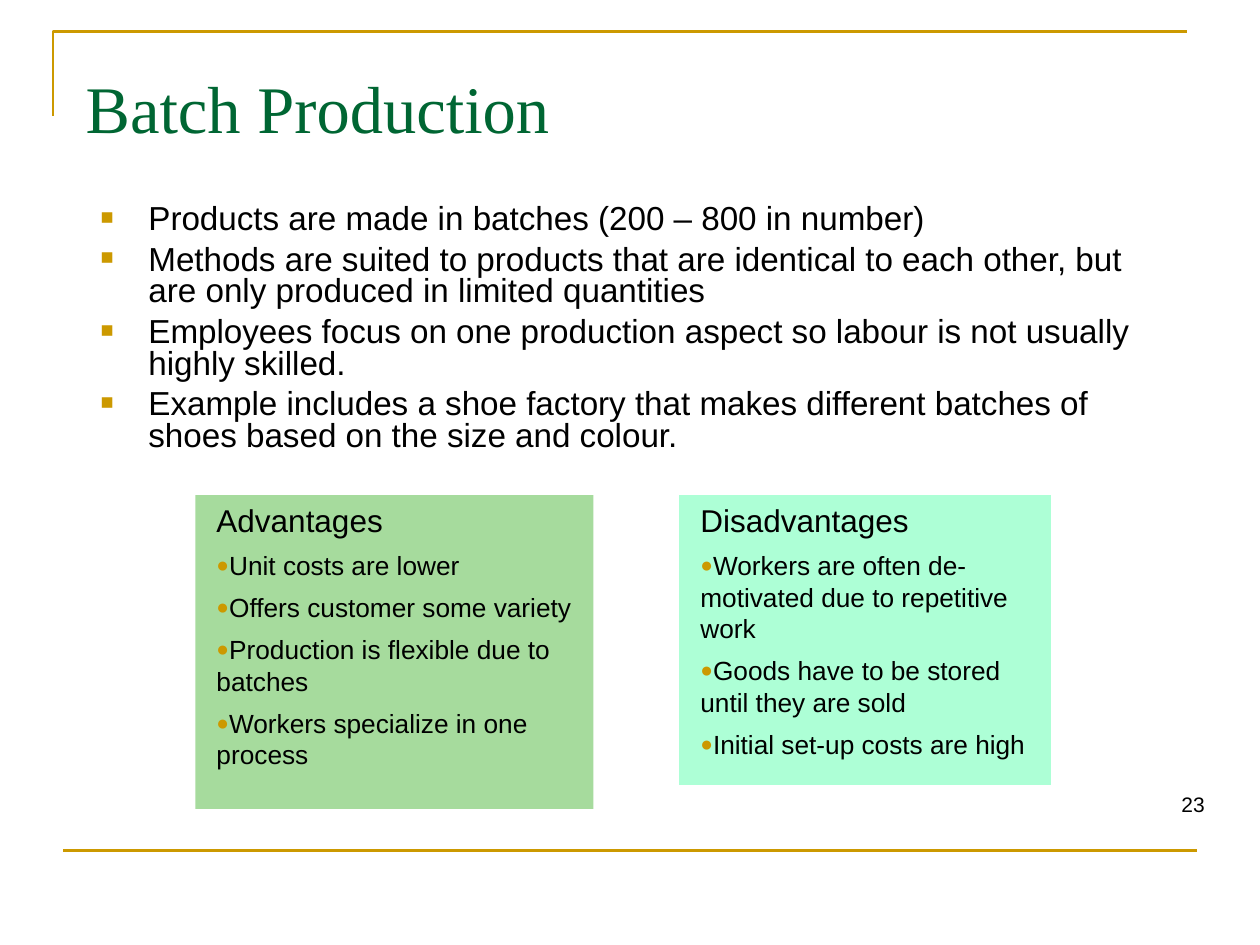
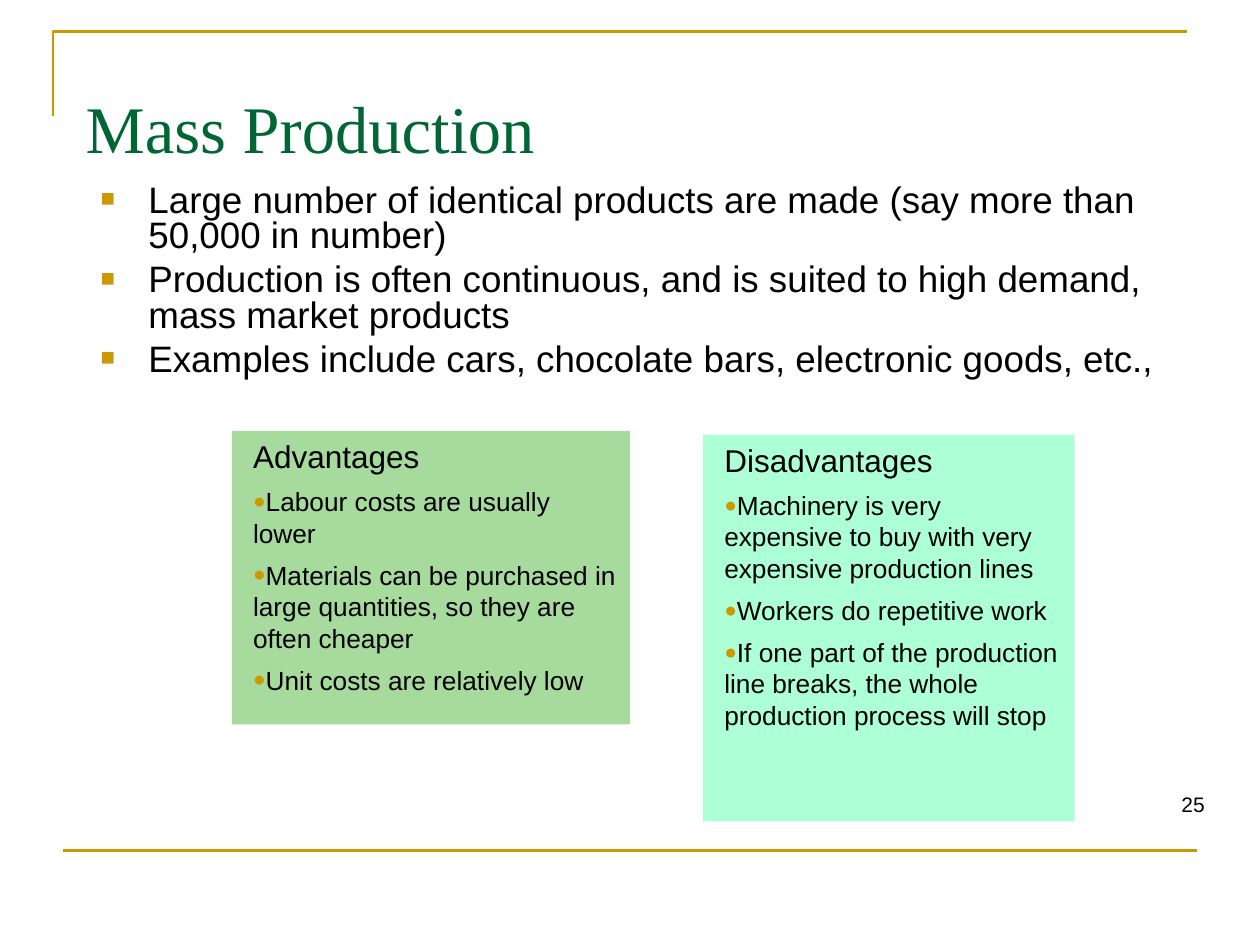
from pptx import Presentation
from pptx.dml.color import RGBColor as RGB
from pptx.enum.shapes import MSO_CONNECTOR as LINE, MSO_SHAPE as SHAPE
from pptx.enum.text import MSO_ANCHOR as ANCHOR, PP_ALIGN as ALIGN
from pptx.oxml.ns import qn
from pptx.util import Inches, Pt
from lxml.etree import SubElement

GOLD = RGB(0xCC, 0x99, 0x00)
GREEN = RGB(0x00, 0x66, 0x33)
BLACK = RGB(0, 0, 0)
LEAF = RGB(0xA6, 0xDB, 0x9D)
MINT = RGB(0xAD, 0xFF, 0xD6)
SANS, SERIF = "Arial", "Times New Roman"

# Boxes are (left, top, width, height) in inches.
SLIDES = [
    {
        "title": "Batch Production", "title_top": 0.42, "number": "23",
        "body": (0.7, 1.58, 8.63, 2.11), "size": 19, "before": 4.8,
        "points": [
            "Products are made in batches (200 – 800 in number)",
            "Methods are suited to products that are identical to each other, "
            "but are only produced in limited quantities",
            "Employees focus on one production aspect so labour is not "
            "usually highly skilled.",
            "Example includes a shoe factory that makes different batches of "
            "shoes based on the size and colour.",
        ],
        "cards": [
            ("Advantages", LEAF, (1.55, 3.93, 3.16, 2.49), [
                "Unit costs are lower",
                "Offers customer some variety",
                "Production is flexible due to batches",
                "Workers specialize in one process",
            ]),
            ("Disadvantages", MINT, (5.39, 3.93, 2.95, 2.3), [
                "Workers are often de-motivated due to repetitive work",
                "Goods have to be stored until they are sold",
                "Initial set-up costs are high",
            ]),
        ],
    },
    {
        "title": "Mass Production", "title_top": 0.58, "number": "25",
        "body": (0.7, 1.42, 8.63, 1.82), "size": 21, "before": 5.2,
        "points": [
            "Large number of identical products are made (say more than "
            "50,000 in number)",
            "Production is often continuous, and is suited to high demand, "
            "mass market products",
            "Examples include cars, chocolate bars, electronic goods, etc.,",
        ],
        "cards": [
            ("Advantages", LEAF, (1.84, 3.42, 3.16, 2.33), [
                "Labour costs are usually lower",
                "Materials can be purchased in large quantities, so they are "
                "often cheaper",
                "Unit costs are relatively low",
            ]),
            ("Disadvantages", MINT, (5.58, 3.45, 2.95, 3.07), [
                "Machinery is very expensive to buy with very expensive "
                "production lines",
                "Workers do repetitive work",
                "If one part of the production line breaks, the whole "
                "production process will stop",
            ]),
        ],
    },
]


def inch(box):
    return [Inches(n) for n in box]


def mark(para, char, scale):
    """Give a paragraph a gold bullet, scaled in percent of the text."""
    props = para._p.get_or_add_pPr()
    SubElement(SubElement(props, qn("a:buClr")), qn("a:srgbClr"), val=str(GOLD))
    SubElement(props, qn("a:buSzPct"), val=str(scale * 1000))
    SubElement(props, qn("a:buFont"), typeface=SANS)
    SubElement(props, qn("a:buChar"), char=char)


def write(frame, text, size, font=SANS, color=BLACK, align=ALIGN.LEFT,
          before=0, line=None, left=0, hang=0, bullet=None):
    """Add one paragraph; bullet is a (character, percent) pair."""
    first = not frame.text
    para = frame.paragraphs[0] if first else frame.add_paragraph()
    para.alignment = align
    para.space_before = Pt(0 if first else before)
    if line:
        para.line_spacing = line
    props = para._p.get_or_add_pPr()
    props.set("marL", str(Inches(left)))
    props.set("indent", str(Inches(hang)))
    if bullet:
        mark(para, *bullet)
    run = para.add_run()
    run.text = text
    run.font.size, run.font.name = Pt(size), font
    run.font.color.rgb = color


def set_up(frame, anchor=ANCHOR.TOP, top=0.05):
    frame.word_wrap = True
    frame.vertical_anchor = anchor
    frame.margin_left = frame.margin_right = Inches(0.1)
    frame.margin_top, frame.margin_bottom = Inches(top), Inches(0.05)
    return frame


def add_box(slide, box, anchor=ANCHOR.TOP):
    return set_up(slide.shapes.add_textbox(*inch(box)).text_frame, anchor)


def add_rules(slide):
    """Draw the corner at the top and the line at the foot."""
    pen = slide.shapes.build_freeform(Inches(0.42), Inches(0.92))
    pen.add_line_segments([inch((0.42, 0.25)), inch((9.42, 0.25))], close=False)
    corner = pen.convert_to_shape()
    corner.shadow.inherit = False
    corner.fill.background()
    foot = slide.shapes.add_connector(LINE.STRAIGHT, *inch((0.5, 6.75, 9.5, 6.75)))
    SubElement(foot._element.spPr, qn("a:effectLst"))
    for rule in (corner, foot):
        rule.line.color.rgb = GOLD
        rule.line.width = Pt(1.5)


def add_title(slide, text, top):
    title = slide.shapes.title
    title.left, title.top, title.width, title.height = inch((0.58, top, 8.25, 0.66))
    write(set_up(title.text_frame, top=0.11), text, 38, SERIF, GREEN)


def add_card(slide, head, fill, box, items):
    card = slide.shapes.add_shape(SHAPE.RECTANGLE, *inch(box))
    card.shadow.inherit = False
    card.fill.solid()
    card.fill.fore_color.rgb = fill
    card.line.fill.background()
    frame = set_up(card.text_frame)
    write(frame, head, 18, left=0.07)
    for item in items:
        write(frame, item, 15, before=6, left=0.07, bullet=("●", 80))


def build(deck, data):
    slide = deck.slides.add_slide(deck.slide_layouts[5])
    add_rules(slide)
    add_title(slide, data["title"], data["title_top"])
    body = add_box(slide, data["body"])
    for point in data["points"]:
        write(body, point, data["size"], before=data["before"], line=0.8,
              left=0.38, hang=-0.38, bullet=("■", 65))
    number = add_box(slide, (9.02, 6.23, 0.64, 0.3), ANCHOR.BOTTOM)
    write(number, data["number"], 12, align=ALIGN.RIGHT)
    for card in data["cards"]:
        add_card(slide, *card)


def main():
    deck = Presentation()
    deck.slide_width, deck.slide_height = Inches(10), Inches(7.5)
    for data in SLIDES:
        build(deck, data)
    deck.save("out.pptx")


if __name__ == "__main__":
    main()
